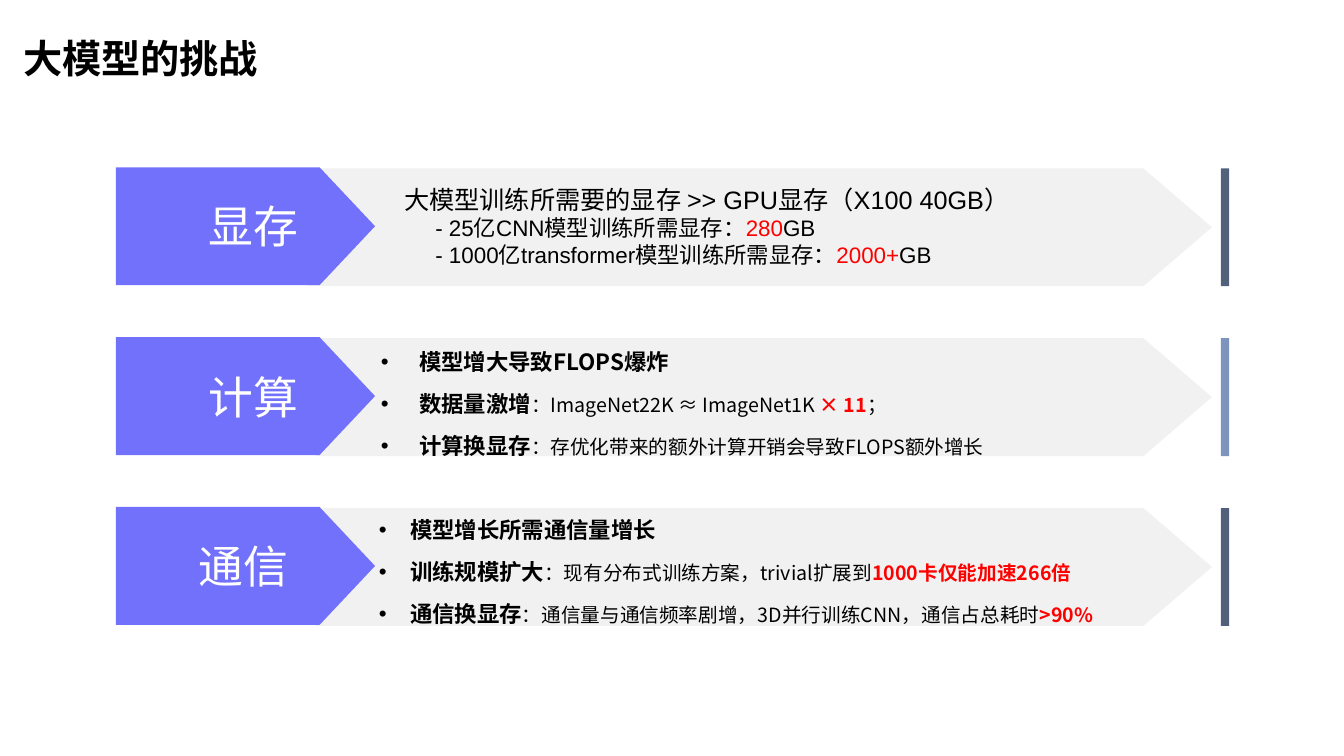
import pptx
import pptx.dml.color
import pptx.enum.shapes
import pptx.enum.text
import pptx.oxml.ns
import pptx.util
from lxml import etree

Inches = pptx.util.Inches
Pt = pptx.util.Pt
RGBColor = pptx.dml.color.RGBColor
qn = pptx.oxml.ns.qn
SHAPE = pptx.enum.shapes.MSO_SHAPE

BLACK = RGBColor(0x00, 0x00, 0x00)
WHITE = RGBColor(0xFF, 0xFF, 0xFF)
RED = RGBColor(0xFF, 0x00, 0x00)
GREY = RGBColor(0xDD, 0xDD, 0xDD)
VIOLET = RGBColor(0x72, 0x71, 0xFB)
SLATE = RGBColor(0x52, 0x61, 0x7B)
STEEL = RGBColor(0x7D, 0x94, 0xBF)
ARIAL = "Arial"
NOTO = "Noto Sans CJK SC"

ROW_LEFT, ROW_TOP, ROW_HEIGHT, ROW_PITCH = 1.15, 1.66, 1.17, 1.685

# Each run is (text, size, bold, colour).
MEMORY = [
    [("大模型训练所需要的显存 >> GPU显存（X100 40GB）", 18, False, BLACK)],
    [("- 25亿CNN模型训练所需显存：", 16, False, BLACK),
     ("280", 16, False, RED), ("GB", 16, False, BLACK)],
    [("- 1000亿transformer模型训练所需显存：", 16, False, BLACK),
     ("2000+", 16, False, RED), ("GB", 16, False, BLACK)],
]
COMPUTE = [
    [("模型增大导致FLOPS爆炸", 16, True, BLACK)],
    [("数据量激增", 16, True, BLACK),
     ("：ImageNet22K ≈ ImageNet1K ", 14, False, BLACK),
     ("× 11", 14, True, RED), ("；", 14, False, BLACK)],
    [("计算换显存", 16, True, BLACK),
     ("：存优化带来的额外计算开销会导致FLOPS额外增长", 14, False, BLACK)],
]
COMMUNICATION = [
    [("模型增长所需通信量增长", 16, True, BLACK)],
    [("训练规模扩大", 16, True, BLACK),
     ("：现有分布式训练方案，trivial扩展到", 14, False, BLACK),
     ("1000卡仅能加速266倍", 14, True, RED)],
    [("通信换显存", 16, True, BLACK),
     ("：通信量与通信频率剧增，3D并行训练CNN，通信占总耗时", 14, False, BLACK),
     (">90%", 14, True, RED)],
]


def format_run(r, size, bold, color, font):
    r.font.size = Pt(size)
    r.font.bold = bold
    r.font.color.rgb = color
    r.font.name = font
    ea = etree.SubElement(r.font._element, qn("a:ea"))
    ea.set("typeface", NOTO)


def add_block(s, shape, left, top, width, color, point=None, alpha=None):
    """Add a plain filled shape of row height; point is the length of an arrow tip."""
    sp = s.shapes.add_shape(shape, Inches(left), Inches(top),
                            Inches(width), Inches(ROW_HEIGHT))
    sp.shadow.inherit = False
    sp.fill.solid()
    sp.fill.fore_color.rgb = color
    sp.line.fill.background()
    if point:
        sp.adjustments[0] = point / ROW_HEIGHT
    if alpha:
        clr = sp.fill._xPr.find(".//" + qn("a:srgbClr"))
        etree.SubElement(clr, qn("a:alpha")).set("val", str(alpha * 1000))


def add_text_box(s, left, top, width, height, wrap=True):
    tf = s.shapes.add_textbox(Inches(left), Inches(top),
                              Inches(width), Inches(height)).text_frame
    tf.word_wrap = wrap
    tf.auto_size = pptx.enum.text.MSO_AUTO_SIZE.SHAPE_TO_FIT_TEXT
    return tf


def set_indent(p, left, bullet=False):
    pPr = p._p.get_or_add_pPr()
    pPr.set("marL", str(Inches(left)))
    pPr.set("indent", str(-Inches(left) if bullet else 0))
    if bullet:
        etree.SubElement(pPr, qn("a:buFont")).set("typeface", ARIAL)
        etree.SubElement(pPr, qn("a:buChar")).set("char", "•")


def add_title(s, left, top, width, height):
    title = s.shapes.title
    title.left, title.top = Inches(left), Inches(top)
    title.width, title.height = Inches(width), Inches(height)
    tf = title.text_frame
    tf.text = "大模型的挑战"
    tf.vertical_anchor = pptx.enum.text.MSO_ANCHOR.BOTTOM
    p = tf.paragraphs[0]
    p.alignment = pptx.enum.text.PP_ALIGN.LEFT
    p.line_spacing = 0.9
    format_run(p.runs[0], 28, True, BLACK, ARIAL)


def add_band(s, left, top, band_left, bar_color):
    """Draw the grey arrow, the violet arrow over it and the closing bar."""
    band_x = left + band_left
    add_block(s, SHAPE.PENTAGON, band_x, top + 0.01, left + 10.87 - band_x,
              GREY, point=0.68, alpha=40)
    add_block(s, SHAPE.PENTAGON, left, top, 2.57, VIOLET, point=0.55)
    add_block(s, SHAPE.RECTANGLE, left + 10.96, top + 0.01, 0.08, bar_color)


def add_label(s, left, top, text):
    tf = add_text_box(s, left, top, 1, 0.64, wrap=False)
    tf.margin_left = tf.margin_right = Inches(0.05)
    tf.margin_top = tf.margin_bottom = Inches(0.05)
    tf.text = text
    format_run(tf.paragraphs[0].runs[0], 32, False, WHITE, NOTO)


def add_points(s, left, top, width, height, lines, indent, bullets):
    tf = add_text_box(s, left, top, width, height)
    for i, runs in enumerate(lines):
        p = tf.add_paragraph() if i else tf.paragraphs[0]
        if bullets:
            set_indent(p, indent, bullet=True)
            p.line_spacing = Pt(30)
        elif i:
            set_indent(p, indent)
        for text, size, bold, color in runs:
            r = p.add_run()
            r.text = text
            format_run(r, size, bold, color, NOTO if bullets else ARIAL)


def main():
    prs = pptx.Presentation()
    prs.slide_width, prs.slide_height = Inches(13.33), Inches(7.5)
    s = prs.slides.add_slide(prs.slide_layouts[5])
    add_title(s, 0.13, 0.15, 11.87, 0.71)

    # label, label offset, band offset, bar colour, text box offset and size,
    # lines, indent, bullets
    rows = [
        ("显存", (0.87, 0.26), 1.9, SLATE, (2.76, 0.12, 8.11, 0.94), MEMORY, 0.31, False),
        ("计算", (0.87, 0.27), 1.98, STEEL, (2.53, -0.09, 8.69, 1.33), COMPUTE, 0.38, True),
        ("通信", (0.77, 0.27), 1.98, SLATE, (2.51, -0.11, 8.04, 1.32), COMMUNICATION, 0.31, True),
    ]
    for i, (label, (label_x, label_y), band_left, bar_color,
            (x, y, w, h), lines, indent, bullets) in enumerate(rows):
        top = ROW_TOP + i * ROW_PITCH
        add_band(s, ROW_LEFT, top, band_left, bar_color)
        add_label(s, ROW_LEFT + label_x, top + label_y, label)
        add_points(s, ROW_LEFT + x, top + y, w, h, lines, indent, bullets)
    prs.save("out.pptx")


if __name__ == "__main__":
    main()
